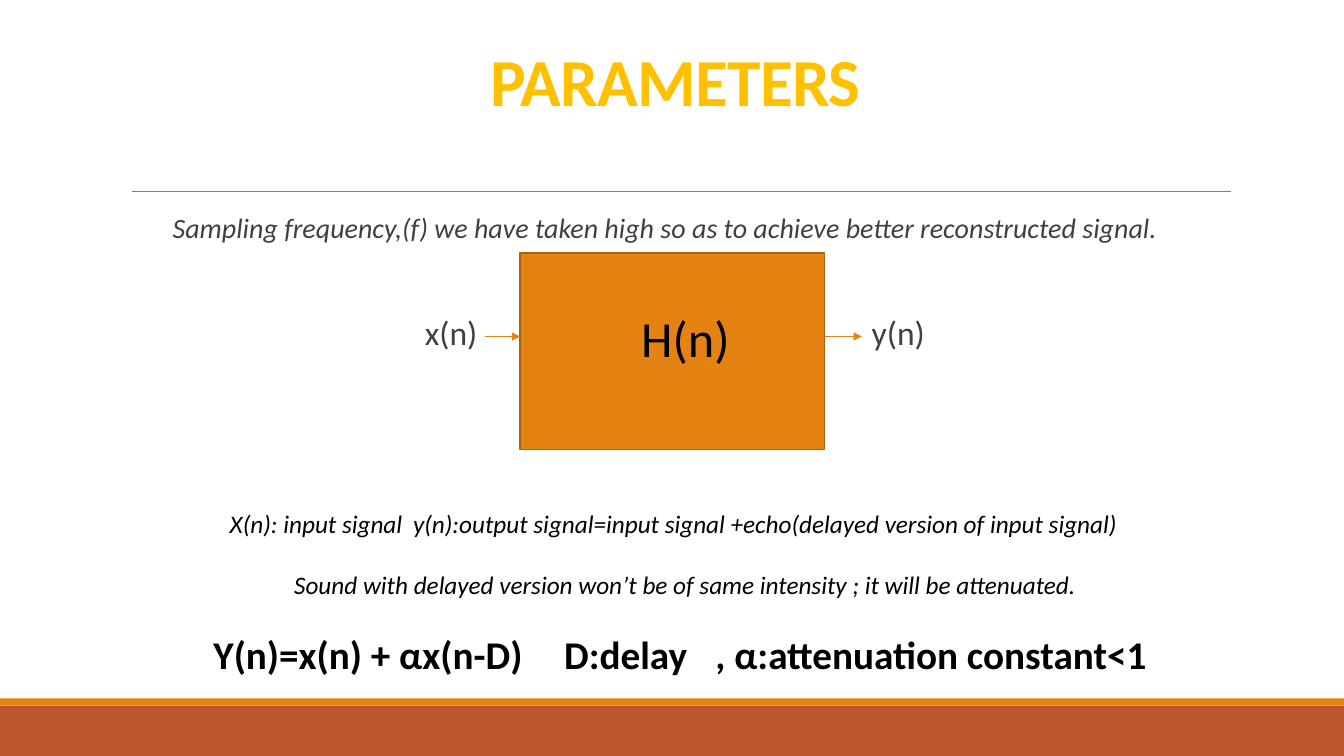
from dataclasses import dataclass

from lxml import etree
from pptx import Presentation
from pptx.dml.color import RGBColor
from pptx.enum.shapes import MSO_CONNECTOR, MSO_SHAPE
from pptx.enum.text import MSO_ANCHOR, PP_ALIGN
from pptx.oxml.ns import qn
from pptx.util import Cm, Pt

RECT = MSO_SHAPE.RECTANGLE
LINE = MSO_CONNECTOR.STRAIGHT
LEFT, MID = PP_ALIGN.LEFT, PP_ALIGN.CENTER
TOP, MIDDLE, BOTTOM = MSO_ANCHOR.TOP, MSO_ANCHOR.MIDDLE, MSO_ANCHOR.BOTTOM


@dataclass(frozen=True)
class Theme:
    font: str = "Calibri"
    gold: str = "FFC000"
    orange: str = "E48312"
    rust: str = "BD582C"
    edge: str = "A9610D"
    rule: str = "808080"
    gray: str = "404040"
    black: str = "000000"
    title: int = 48
    block: int = 36
    sum: int = 28
    label: int = 24
    lead: int = 20
    note: int = 18


T = Theme()


def put(item, vals):
    for name, val in vals.items():
        setattr(item, name, val)


def rect(slide, box, fill, edge=None):
    shape = slide.shapes.add_shape(RECT, *map(Cm, box))
    shape.shadow.inherit = False
    shape.fill.solid()
    shape.fill.fore_color.rgb = RGBColor.from_string(fill)
    if edge:
        shape.line.color.rgb = RGBColor.from_string(edge)
        shape.line.width = Pt(1.25)
    else:
        shape.line.fill.background()


def line(slide, start, end, y, color, width, arrow=False):
    link = slide.shapes.add_connector(LINE, Cm(start), Cm(y), Cm(end), Cm(y))
    link.line.color.rgb = RGBColor.from_string(color)
    link.line.width = Pt(width)
    if arrow:
        etree.SubElement(link.line._get_or_add_ln(), qn("a:tailEnd"), type="triangle")
    etree.SubElement(link._element.spPr, qn("a:effectLst"))


def frame(slide, box, anchor=TOP, side=0.25):
    body = slide.shapes.add_textbox(*map(Cm, box)).text_frame
    put(body, {
        "word_wrap": True, "vertical_anchor": anchor,
        "margin_left": Cm(side), "margin_right": Cm(side),
        "margin_top": Cm(0.13), "margin_bottom": Cm(0.13),
    })
    return body


def write(para, text, size, color, align=MID, track=None, lay=None, **style):
    put(para, {"alignment": align, **(lay or {})})
    run = para.add_run()
    run.text = text
    put(run.font, {"name": T.font, "size": Pt(size), **style})
    run.font.color.rgb = RGBColor.from_string(color)
    if track:
        run.font._element.set("spc", str(track))


def tabs(para, indent, stops):
    props = para._p.get_or_add_pPr()
    props.set("marL", "0")
    props.set("indent", str(Cm(indent)))
    group = etree.SubElement(props, qn("a:tabLst"))
    for stop in stops:
        etree.SubElement(group, qn("a:tab"), pos=str(Cm(stop)), algn="l")


def notes(slide):
    body = frame(slide, (3.81, 12.67, 26.92, 4.52))
    first = body.paragraphs[0]
    tabs(first, 1.73, [6.95])
    write(first, "X(n): input signal\ty(n):output signal=input signal "
          "+echo(delayed version of input signal)",
          T.note, T.black, LEFT, italic=True)
    gap = {"space_before": Pt(22)}
    write(body.add_paragraph(),
          "Sound with delayed version won’t be of same intensity ; "
          "it will be attenuated.",
          T.note, T.black, lay=gap, italic=True)
    last = body.add_paragraph()
    tabs(last, 1.32, [10.69, 14.27])
    write(last, "Y(n)=x(n) + αx(n-D)\tD:delay\t, α:attenuation constant<1",
          T.sum, T.black, LEFT, lay=gap, bold=True)


def main():
    deck = Presentation()
    put(deck, {"slide_width": Cm(33.87), "slide_height": Cm(19.05)})
    slide = deck.slides.add_slide(deck.slide_layouts[6])

    # Footer bands and title rule
    rect(slide, (0, 17.78, 33.87, 1.27), T.rust)
    rect(slide, (0, 17.6, 33.87, 0.18), T.orange)
    line(slide, 3.33, 31.01, 4.83, T.rule, 0.5)

    # Title and lead sentence
    head = frame(slide, (3.05, 0.36, 27.94, 2.79), BOTTOM)
    write(head.paragraphs[0], "PARAMETERS", T.title, T.gold, track=-50,
          lay={"line_spacing": 0.85}, bold=True)
    lead = frame(slide, (2.79, 5.28, 27.94, 1.1), side=0)
    write(lead.paragraphs[0],
          "Sampling frequency,(f) we have taken high so as to achieve "
          "better reconstructed signal.",
          T.lead, T.gray, lay={"line_spacing": 0.9}, italic=True)

    # Block diagram
    rect(slide, (13.11, 6.38, 7.67, 4.95), T.orange, T.edge)
    for text, box, size, color in (
        ("H(n)", (15.27, 7.59, 4.01, 1.8), T.block, T.black),
        ("x(n)", (10.37, 7.72, 2, 1.3), T.label, T.gray),
        ("y(n)", (21.64, 7.72, 2, 1.3), T.label, T.gray),
    ):
        body = frame(slide, box, MIDDLE, side=0)
        write(body.paragraphs[0], text, size, color)
    for start, end in ((12.22, 13.11), (20.78, 21.72)):
        line(slide, start, end, 8.48, T.orange, 1, arrow=True)

    # Signal notes and echo formula
    notes(slide)
    deck.save("out.pptx")


if __name__ == "__main__":
    main()
